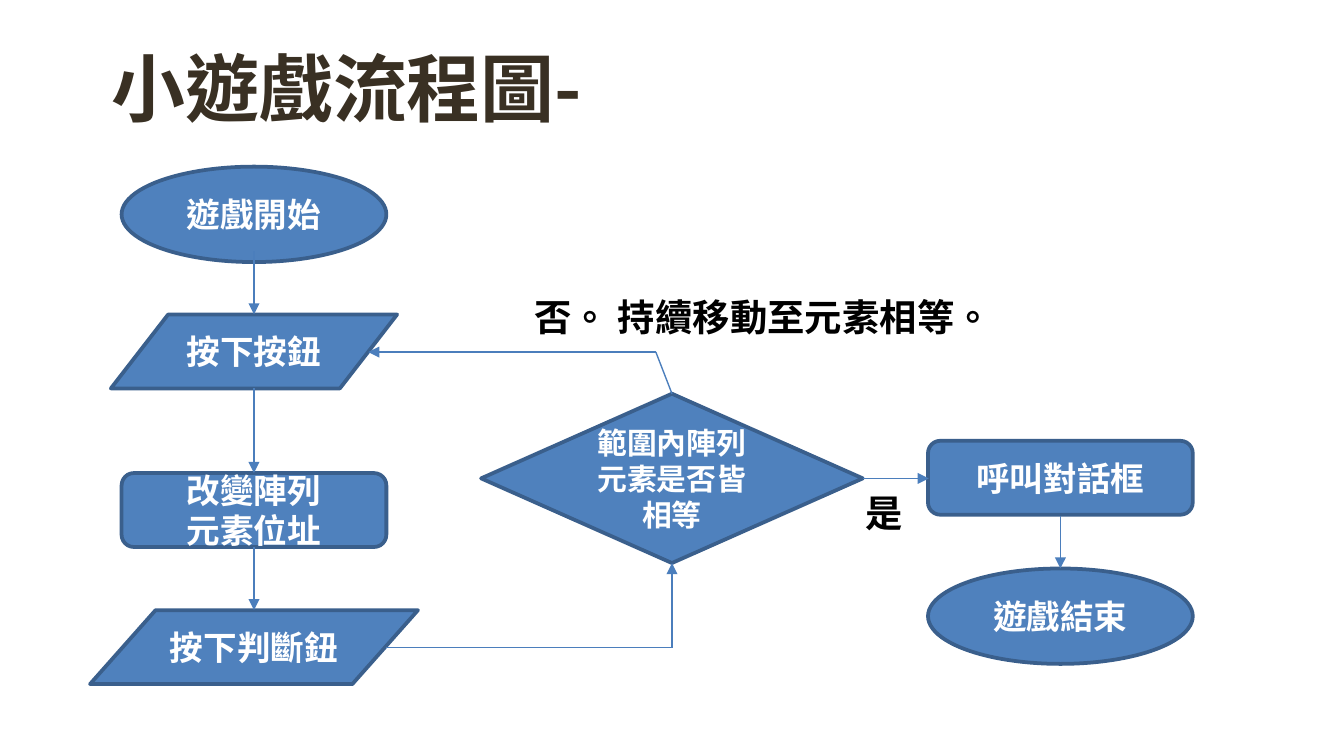
from pptx import Presentation, util as u
from pptx.dml.color import RGBColor
from pptx.enum import shapes, text
from pptx.oxml.ns import qn
from lxml import etree

FONT = "Noto Sans CJK SC"
WHITE = RGBColor(0xFF, 0xFF, 0xFF)
BLACK = RGBColor(0, 0, 0)
BROWN = RGBColor(0x39, 0x30, 0x23)
BLUE = RGBColor(0x4F, 0x81, 0xBD)
OUTLINE = RGBColor(0x3A, 0x5F, 0x8C)
ARROW = RGBColor(0x4B, 0x7E, 0xBC)


def write(sp, content, size, color, align, anchor):
    tf = sp.text_frame
    tf.word_wrap = True
    tf.vertical_anchor = anchor
    p = tf.paragraphs[0]
    p.alignment = align
    for i, line in enumerate(content.split("\n")):
        if i:
            p.add_line_break()
        r = p.add_run()
        r.text = line
        r.font.size = u.Pt(size)
        r.font.bold = True
        r.font.color.rgb = color
        r.font.name = FONT
        # East Asian typeface, and the language that centres full stops
        rPr = r._r.get_or_add_rPr()
        rPr.set("lang", "zh-TW")
        etree.SubElement(rPr, qn("a:ea"), typeface=FONT)
    return tf


def connect(x1, y1, x2, y2, arrow):
    c = s.shapes.add_connector(shapes.MSO_CONNECTOR.STRAIGHT, u.Inches(x1),
                               u.Inches(y1), u.Inches(x2), u.Inches(y2))
    c.line.color.rgb = ARROW
    c.line.width = u.Pt(0.75)
    if arrow:
        etree.SubElement(c.line._get_or_add_ln(), qn("a:tailEnd"), type="triangle")
    etree.SubElement(c._element.spPr, qn("a:effectLst"))


# 16:9 slide
prs = Presentation()
prs.slide_width = u.Inches(10)
prs.slide_height = u.Inches(10 * 9 / 16)
s = prs.slides.add_slide(prs.slide_layouts[6])

# Title and branch labels
LEFT, CENTER = text.PP_ALIGN.LEFT, text.PP_ALIGN.CENTER
TOP, MIDDLE = text.MSO_ANCHOR.TOP, text.MSO_ANCHOR.MIDDLE
for content, x, y, w, h, size, color, anchor in [
    ("小遊戲流程圖-", 0.73, 0.29, 8.54, 0.71, 39.6, BROWN, MIDDLE),
    ("是", 6.34, 3.6, 0.39, 0.44, 20, BLACK, TOP),
    ("否。 持續移動至元素相等。", 3.88, 2.14, 3.56, 0.44, 20, BLACK, TOP),
]:
    sp = s.shapes.add_textbox(u.Inches(x), u.Inches(y), u.Inches(w), u.Inches(h))
    tf = write(sp, content, size, color, LEFT, anchor)
    tf.margin_right = 0

# Flowchart steps, centred on three columns
START, TEST, END = 1.89, 5, 7.89
KIND = shapes.MSO_SHAPE
for kind, content, cx, y, w, h, size in [
    (KIND.OVAL, "遊戲開始", START, 1.24, 1.97, 0.71, 18),
    (KIND.FLOWCHART_DATA, "按下按鈕", START, 2.34, 2.13, 0.55, 18),
    (KIND.ROUNDED_RECTANGLE, "改變陣列\n元素位址", START, 3.52, 1.97, 0.55, 18),
    (KIND.FLOWCHART_DATA, "按下判斷鈕", START, 4.54, 2.44, 0.55, 18),
    (KIND.DIAMOND, "範圍內陣列元素是否皆相等", TEST, 2.93, 2.84, 1.26, 16),
    (KIND.ROUNDED_RECTANGLE, "呼叫對話框", END, 3.28, 1.97, 0.55, 18),
    (KIND.OVAL, "遊戲結束", END, 4.23, 1.97, 0.71, 18),
]:
    sp = s.shapes.add_shape(kind, u.Inches(cx - w / 2), u.Inches(y),
                            u.Inches(w), u.Inches(h))
    sp.shadow.inherit = False
    sp.fill.solid()
    sp.fill.fore_color.rgb = BLUE
    sp.line.color.rgb = OUTLINE
    sp.line.width = u.Pt(2)
    tf = write(sp, content, size, WHITE, CENTER, MIDDLE)
    tf.margin_left = tf.margin_right = u.Inches(0.08)

# Connectors between the steps
for x1, y1, x2, y2, arrow in [
    (START, 1.87, START, 2.34, True),
    (START, 2.89, START, 3.52, True),
    (START, 4.07, START, 4.54, True),
    (2.87, 4.82, 4.89, 4.82, False),
    (TEST, 4.82, 4.89, 4.82, False),
    (TEST, 4.82, TEST, 4.19, True),
    (6.42, 3.56, 6.91, 3.56, True),
    (END, 3.84, END, 4.23, True),
    (TEST, 2.93, 4.88, 2.62, False),
    (4.88, 2.62, 2.74, 2.62, True),
]:
    connect(x1, y1, x2, y2, arrow)

prs.save("out.pptx")
